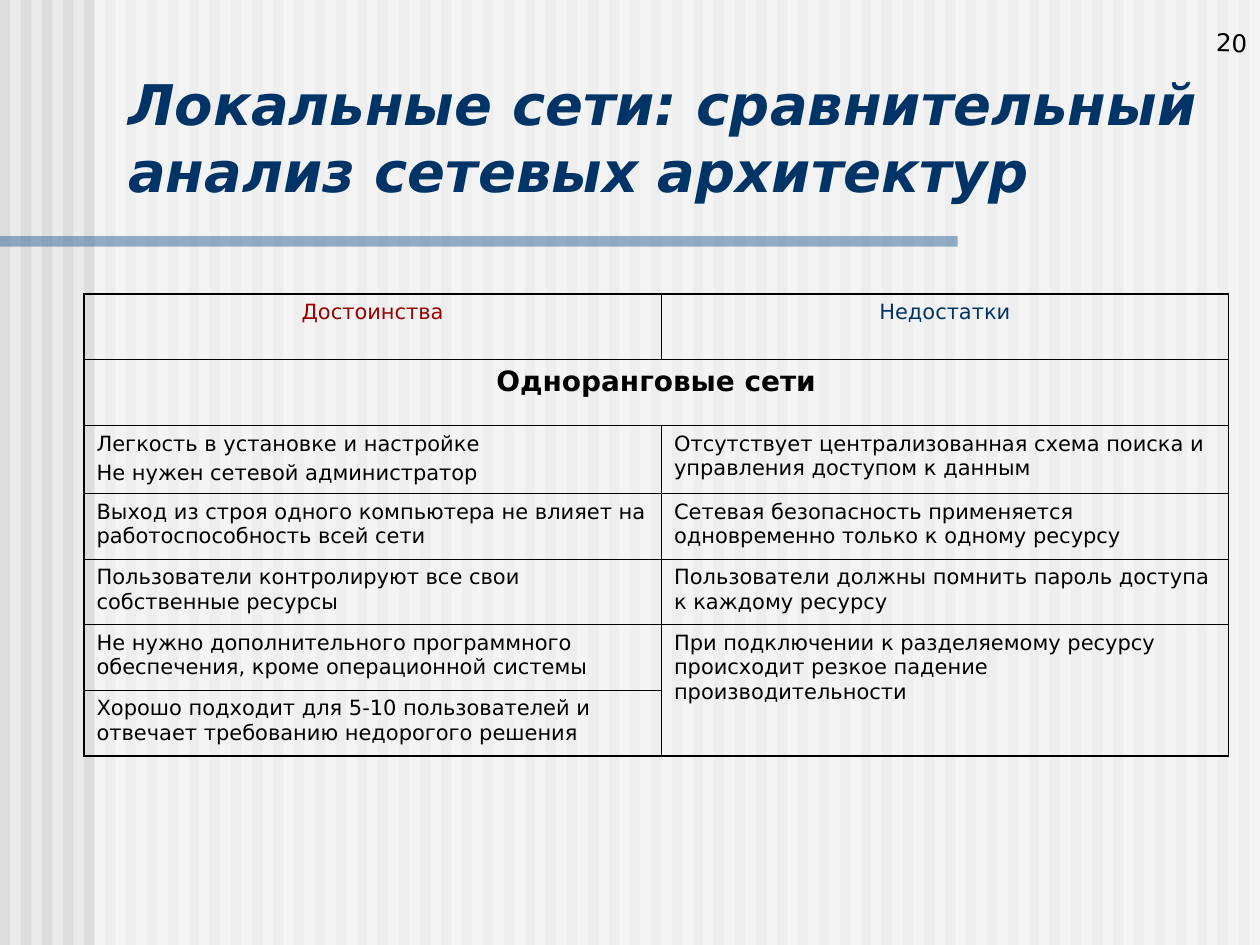
from collections import namedtuple
from dataclasses import dataclass
from lxml.etree import SubElement as Sub
from pptx import Presentation
from pptx.dml.color import RGBColor as RGB
from pptx.enum.shapes import MSO_SHAPE as Shape
from pptx.enum.text import MSO_ANCHOR as Anchor, MSO_AUTO_SIZE as Fit, PP_ALIGN as Align
from pptx.oxml.ns import qn
from pptx.util import Inches, Pt

Box = namedtuple("Box", "x y w h")
UNIT = Inches(10) // 120
PAGE = Box(0, 0, 120, 90)


@dataclass(frozen=True)
class Theme:
    font: str = "DejaVu Sans"
    back: str = "EAEAEA"
    stripe: str = "DDDDDD"
    veil: str = "FFFFFF"
    rule: str = "336699"
    navy: str = "003366"
    red: str = "9A0000"
    ink: str = "000000"
    head: int = 32
    band: int = 16
    num: int = 14
    body: int = 12
    gap: int = 3
    thick: float = 1.08
    thin: float = 0.45


THEME = Theme()
ROWS = [6.25, 6.25, 6.5, 6.25, 6.25, 6.25, 6.25]
COLS = [55, 54]
HEADS = [("Достоинства", THEME.red), ("Недостатки", THEME.navy)]
BAND = "Одноранговые сети"
PROS = [
    "Легкость в установке и настройке\nНе нужен сетевой администратор",
    "Выход из строя одного компьютера не влияет на работоспособность всей сети",
    "Пользователи контролируют все свои собственные ресурсы",
    "Не нужно дополнительного программного обеспечения, кроме операционной системы",
    "Хорошо подходит для 5-10 пользователей и отвечает требованию недорогого решения",
]
CONS = [
    "Отсутствует централизованная схема поиска и управления доступом к данным",
    "Сетевая безопасность применяется одновременно только к одному ресурсу",
    "Пользователи должны помнить пароль доступа к каждому ресурсу",
    "При подключении к разделяемому ресурсу происходит резкое падение производительности",
]


def scale(*vals):
    return [round(val * UNIT) for val in vals]


def write(frame, text, size=THEME.body, color=THEME.ink, bold=False,
          slant=False, align=Align.LEFT):
    frame.word_wrap = True
    for i, line in enumerate(text.split("\n")):
        para = frame.add_paragraph() if i else frame.paragraphs[0]
        para.alignment = align
        para.space_before = Pt(THEME.gap if i else 0)
        run = para.add_run()
        run.text = line
        font = run.font
        font.name, font.size = THEME.font, Pt(size)
        font.bold, font.italic = bold, slant
        font.color.rgb = RGB.from_string(color)


def bar(slide, box, color, alpha=None):
    rect = slide.shapes.add_shape(Shape.RECTANGLE, *scale(*box))
    rect.shadow.inherit = False
    rect.line.fill.background()
    rect.fill.solid()
    rect.fill.fore_color.rgb = RGB.from_string(color)
    if alpha:
        tone = rect.element.spPr.find(qn("a:solidFill"))[0]
        Sub(tone, qn("a:alpha"), val=str(alpha * 1000))


def decor(slide, box):
    fill = slide.background.fill
    fill.solid()
    fill.fore_color.rgb = RGB.from_string(THEME.back)
    for step in range(0, box.w, 2):
        bar(slide, Box(box.x + step, box.y, 1, box.h), THEME.stripe)
    bar(slide, Box(box.x + 9, box.y, box.w - 9, box.h), THEME.veil, 50)
    bar(slide, Box(box.x, box.y + box.h / 4, box.w * 0.76, 1), THEME.rule, 50)


def number(slide, box):
    note = slide.shapes.add_textbox(*scale(*box))
    note.rotation = 1.5
    note.text_frame.vertical_anchor = Anchor.BOTTOM
    write(note.text_frame, "20", size=THEME.num, align=Align.RIGHT)


def title(slide, box):
    head = slide.shapes.title
    head.left, head.top, head.width, head.height = scale(*box)
    slide.shapes.element.append(head.element)
    frame = head.text_frame
    frame.auto_size = Fit.NONE
    frame.vertical_anchor = Anchor.BOTTOM
    write(frame, "Локальные сети: сравнительный анализ сетевых архитектур",
          size=THEME.head, color=THEME.navy, bold=True, slant=True)


def edge(cell, row, col):
    outer = {
        "L": col == 0,
        "R": col + max(cell.span_width, 1) == len(COLS),
        "T": row == 0,
        "B": row + max(cell.span_height, 1) == len(ROWS),
    }
    props = cell._tc.get_or_add_tcPr()
    for side, wide in outer.items():
        width = Pt(THEME.thick if wide else THEME.thin)
        line = Sub(props, qn(f"a:ln{side}"), w=str(width))
        Sub(Sub(line, qn("a:solidFill")), qn("a:srgbClr"), val=THEME.ink)
    cell.fill.background()


def grid(slide, box):
    table = slide.shapes.add_table(len(ROWS), len(COLS), *scale(*box)).table
    table.first_row = table.horz_banding = False
    style = table._tbl.tblPr.find(qn("a:tableStyleId"))
    style.text = "{2D5ABB26-0587-4C30-8999-92F81FD0307C}"
    for part, size in zip(table.rows, scale(*ROWS)):
        part.height = size
    for part, size in zip(table.columns, scale(*COLS)):
        part.width = size
    table.cell(1, 0).merge(table.cell(1, 1))
    table.cell(5, 1).merge(table.cell(6, 1))
    for col, (text, color) in enumerate(HEADS):
        write(table.cell(0, col).text_frame, text, color=color, align=Align.CENTER)
    write(table.cell(1, 0).text_frame, BAND, size=THEME.band, bold=True,
          align=Align.CENTER)
    for col, texts in enumerate([PROS, CONS]):
        for row, text in enumerate(texts, 2):
            write(table.cell(row, col).text_frame, text)
    for row in range(len(ROWS)):
        for col in range(len(COLS)):
            cell = table.cell(row, col)
            if not cell.is_spanned:
                edge(cell, row, col)


def main():
    deck = Presentation()
    deck.slide_width, deck.slide_height = scale(PAGE.w, PAGE.h)
    slide = deck.slides.add_slide(deck.slide_layouts[5])
    decor(slide, PAGE)
    number(slide, Box(111, 0, 9, 6))
    title(slide, Box(11, 6, 106, 14))
    grid(slide, Box(8, 28, sum(COLS), sum(ROWS)))
    deck.save("out.pptx")


if __name__ == "__main__":
    main()
